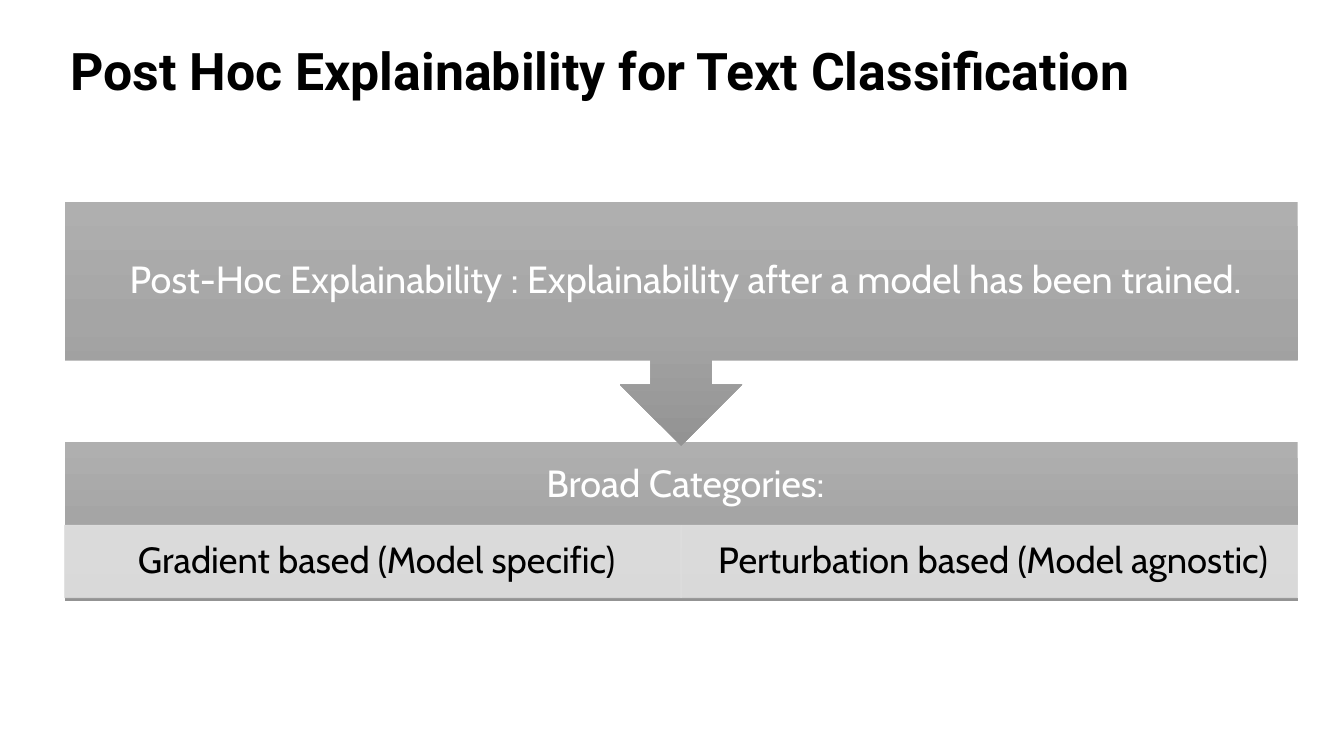
from copy import deepcopy

from pptx import Presentation
from pptx.dml.color import RGBColor
from pptx.enum.shapes import MSO_SHAPE
from pptx.enum.text import MSO_ANCHOR, PP_ALIGN
from pptx.oxml.ns import qn
from pptx.util import Inches, Pt
from lxml import etree

RECT, CALLOUT = MSO_SHAPE.RECTANGLE, MSO_SHAPE.DOWN_ARROW_CALLOUT
TOP, MIDDLE = MSO_ANCHOR.TOP, MSO_ANCHOR.MIDDLE
LEFT, CENTER = PP_ALIGN.LEFT, PP_ALIGN.CENTER
COLORS = {"black": "000000", "white": "FFFFFF", "light": "AFAFAF",
          "mid": "A5A5A5", "dark": "939393", "pale": "E1E1E1"}


def color(name):
    """Return the named colour."""
    return RGBColor.from_string(COLORS[name])


def write(shape, text, size=27, font="Cabin", ink="white", bold=False,
          align=CENTER, anchor=MIDDLE, pad=(0.21, 0.21)):
    """Write one formatted paragraph into a shape."""
    frame = shape.text_frame
    frame.word_wrap = True
    frame.vertical_anchor = anchor
    frame.margin_left = frame.margin_right = Inches(pad[0])
    frame.margin_top = frame.margin_bottom = Inches(pad[1])
    para = frame.paragraphs[0]
    para.alignment = align
    para.line_spacing = 0.9
    run = para.add_run()
    run.text = text
    run.font.size = Pt(size)
    run.font.name = font
    run.font.bold = bold
    run.font.color.rgb = color(ink)


def add_box(slide, box):
    """Add an empty text box."""
    return slide.shapes.add_textbox(*map(Inches, box))


def add_form(slide, kind, box):
    """Add a preset shape without a shadow."""
    shape = slide.shapes.add_shape(kind, *map(Inches, box))
    shape.shadow.inherit = False
    return shape


def add_shade(slide, kind, box):
    """Add a borderless shape shaded from light at the top to dark."""
    shape = add_form(slide, kind, box)
    shape.line.fill.background()
    shape.fill.gradient()
    shape.fill.gradient_angle = 270
    stops = shape._element.spPr.find(".//" + qn("a:gsLst"))
    stops.append(deepcopy(stops[-1]))
    shades = zip(shape.fill.gradient_stops, (0, 0.5, 1), ("light", "mid", "dark"))
    for stop, place, name in shades:
        stop.position = place
        stop.color.rgb = color(name)
    return shape


def add_title(slide, box):
    """Add the slide title."""
    write(add_box(slide, box), "Post Hoc Explainability for Text Classification",
          size=37, font="Roboto", ink="black", bold=True, align=LEFT,
          anchor=TOP, pad=(0.1, 0.05))


def add_group(slide, box, head, names):
    """Add a panel with a heading and a row of equal cells near its foot."""
    left, top, width, height = box
    add_shade(slide, RECT, box)
    write(add_box(slide, (left, top, width, 0.85)), head)
    step = width / len(names)
    for col, name in enumerate(names):
        cell = add_form(slide, RECT, (left + col * step, top + 0.82, step, 0.72))
        cell.fill.solid()
        cell.fill.fore_color.rgb = color("pale")
        cell.line.color.rgb = color("pale")
        cell.line.width = Pt(0.5)
        for tint in cell._element.spPr.iter(qn("a:srgbClr")):
            etree.SubElement(tint, qn("a:alpha")).set("val", "90000")
        write(cell, name, size=26, ink="black", pad=(0.2, 0.04))


def add_lead(slide, box, text):
    """Add the definition in a callout that points down."""
    write(add_shade(slide, CALLOUT, box), text)


def main():
    """Build and save the slide."""
    deck = Presentation()
    deck.slide_width, deck.slide_height = Inches(13.33), Inches(7.5)
    slide = deck.slides.add_slide(deck.slide_layouts[6])
    add_title(slide, (0.6, 0.4, 11.5, 0.86))
    add_group(slide, (0.64, 4.39, 12.23, 1.57), " Broad Categories:",
              (" Gradient based (Model specific)",
               " Perturbation based (Model agnostic)"))
    add_lead(slide, (0.64, 2, 12.23, 2.42),
             " Post-Hoc Explainability : Explainability after a model has been trained.")
    deck.save("out.pptx")


if __name__ == "__main__":
    main()
